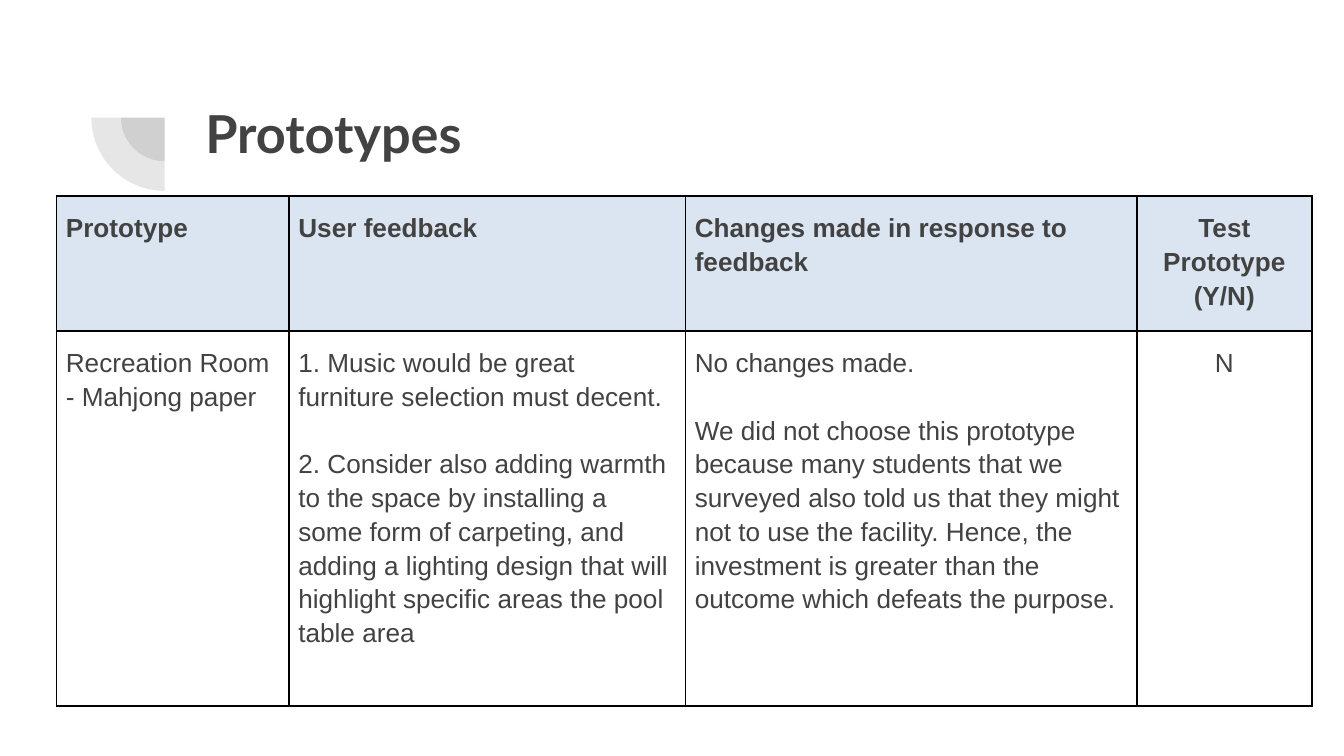
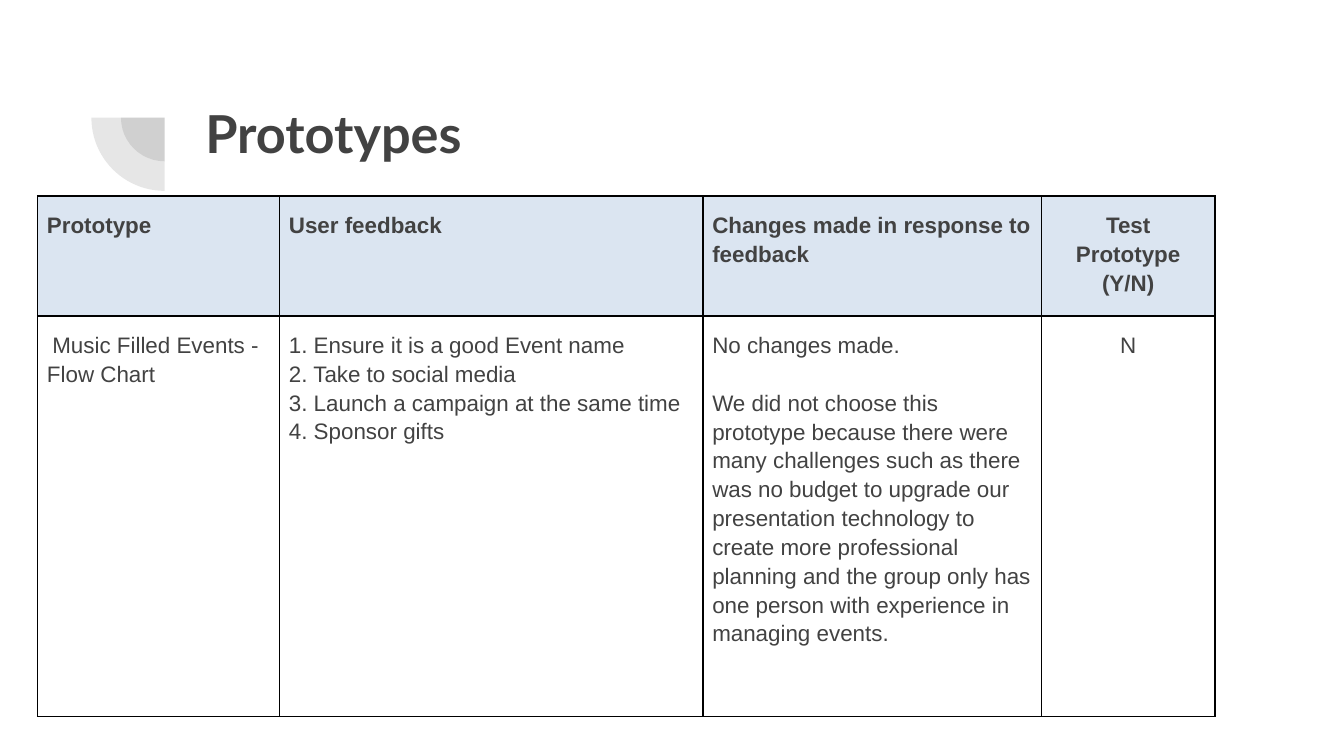
"""Build two prototype feedback slides, each with a title and a table."""
import dataclasses
import typing

import lxml.etree
import pptx
import pptx.dml.color
import pptx.enum.shapes
import pptx.enum.text
import pptx.oxml.ns
import pptx.util

PX = 4572
INK = "424242"
HEADER_FILL = "DBE5F1"
BORDER = "000000"
BODY_FONT = "Arial"
TITLE_FONT = "Lato"
HEADINGS = (
    "Prototype",
    "User feedback",
    "Changes made in response to feedback",
    "Test Prototype (Y/N)",
)
ARC_CENTER = (245, 175)
ARC_RADII = (65, 109)
TABLE_TOP = 292


@dataclasses.dataclass(frozen=True)
class Line:
    text: str
    gap: float = 0
    indent: int = 0


@dataclasses.dataclass(frozen=True)
class Feedback:
    left: int
    columns: tuple[int, ...]
    rows: tuple[int, ...]
    size: int
    answers: tuple[tuple[Line, ...], ...]


SLIDES = (
    Feedback(
        left=84,
        columns=(346, 590, 672, 260),
        rows=(186, 558),
        size=14,
        answers=(
            (Line("Recreation Room - Mahjong paper"),),
            (
                Line("1. Music would be great furniture selection must decent."),
                Line(
                    "2. Consider also adding warmth to the space by installing a some form of "
                    "carpeting, and adding a lighting design that will highlight specific areas "
                    "the pool table area",
                    gap=18,
                ),
            ),
            (
                Line("No changes made."),
                Line(
                    "We did not choose this prototype because many students that we surveyed "
                    "also told us that they might not to use the facility. Hence, the investment "
                    "is greater than the outcome which defeats the purpose.",
                    gap=18,
                ),
            ),
            (Line("N"),),
        ),
    ),
    Feedback(
        left=56,
        columns=(360, 630, 504, 258),
        rows=(166, 596),
        size=12,
        answers=(
            (Line("Music Filled Events - Flow Chart", indent=8),),
            (
                Line("1. Ensure it is a good Event name"),
                Line("2. Take to social media"),
                Line("3. Launch a campaign at the same time"),
                Line("4. Sponsor gifts"),
            ),
            (
                Line("No changes made."),
                Line(
                    "We did not choose this prototype because there were many challenges such as "
                    "there was no budget to upgrade our presentation technology to create more "
                    "professional planning and the group only has one person with experience in "
                    "managing events.",
                    gap=15.5,
                ),
            ),
            (Line("N"),),
        ),
    ),
)


def px(length: int) -> pptx.util.Emu:
    """Turn px into EMU."""
    return pptx.util.Emu(length * PX)


def color(value: str) -> pptx.dml.color.RGBColor:
    """Turn a hex string into a colour."""
    return pptx.dml.color.RGBColor.from_string(value)


def add_element(parent: typing.Any, tag: str, **attributes: str) -> typing.Any:
    """Append a drawing element to a parent."""
    return lxml.etree.SubElement(parent, pptx.oxml.ns.qn(tag), **attributes)


def write(
    para: typing.Any,
    text: str,
    *,
    size: int,
    font: str = BODY_FONT,
    bold: bool = False,
    centered: bool = False,
    spacing: float = 1.0,
    gap: float = 0,
    indent: int = 0,
) -> None:
    """Write formatted text into a paragraph."""
    align = pptx.enum.text.PP_ALIGN
    para.alignment = align.CENTER if centered else align.LEFT
    para.line_spacing = spacing
    if gap:
        para.space_before = pptx.util.Pt(gap)
    if indent:
        para._p.get_or_add_pPr().set("indent", str(px(indent)))
    span = para.add_run()
    span.text = text
    span.font.size = pptx.util.Pt(size)
    span.font.name = font
    span.font.bold = bold
    span.font.color.rgb = color(INK)


def add_arcs(page: typing.Any) -> None:
    """Draw the two overlapping quarter circles beside the title."""
    center_x, center_y = ARC_CENTER
    for radius in ARC_RADII:
        arc = page.shapes.add_shape(
            pptx.enum.shapes.MSO_SHAPE.PIE,
            px(center_x - radius), px(center_y - radius), px(2 * radius), px(2 * radius),
        )
        arc.adjustments[0] = 54
        arc.adjustments[1] = 108
        arc.shadow.inherit = False
        arc.line.fill.background()
        arc.fill.solid()
        arc.fill.fore_color.rgb = color(INK)
        tone = arc._element.spPr.find(".//" + pptx.oxml.ns.qn("a:srgbClr"))
        add_element(tone, "a:alpha", val="13000")


def add_title(page: typing.Any, text: str) -> None:
    """Add the slide title."""
    box = page.shapes.add_textbox(px(286), px(130), px(1538), px(218))
    frame = box.text_frame
    frame.word_wrap = True
    frame.margin_left = frame.margin_right = px(20)
    frame.margin_top = frame.margin_bottom = px(20)
    write(frame.paragraphs[0], text, size=28, font=TITLE_FONT, bold=True)


def add_borders(cell: typing.Any) -> None:
    """Give a cell a thin line on all four sides."""
    properties = cell._tc.get_or_add_tcPr()
    for side in ("a:lnL", "a:lnR", "a:lnT", "a:lnB"):
        edge = add_element(properties, side, w=str(pptx.util.Pt(1)))
        add_element(add_element(edge, "a:solidFill"), "a:srgbClr", val=BORDER)


def fill_cell(
    cell: typing.Any, lines: tuple[Line, ...], *, size: int, header: bool, centered: bool
) -> None:
    """Style a cell and write its lines."""
    add_borders(cell)
    if header:
        cell.fill.solid()
        cell.fill.fore_color.rgb = color(HEADER_FILL)
    else:
        cell.fill.background()
    cell.margin_left = cell.margin_right = px(14)
    cell.margin_top = cell.margin_bottom = px(20)
    frame = cell.text_frame
    for index, line in enumerate(lines):
        para = frame.add_paragraph() if index else frame.paragraphs[0]
        write(
            para, line.text, size=size, bold=header, centered=centered,
            spacing=1.15, gap=line.gap, indent=line.indent,
        )


def add_feedback_table(page: typing.Any, feedback: Feedback) -> None:
    """Add the table of headings and answers."""
    contents = (tuple((Line(heading),) for heading in HEADINGS), feedback.answers)
    table = page.shapes.add_table(
        len(feedback.rows), len(feedback.columns), px(feedback.left), px(TABLE_TOP),
        px(sum(feedback.columns)), px(sum(feedback.rows)),
    ).table
    table.first_row = table.horz_banding = False
    for column, width in zip(table.columns, feedback.columns):
        column.width = px(width)
    for row_index, height in enumerate(feedback.rows):
        table.rows[row_index].height = px(height)
        for column_index, lines in enumerate(contents[row_index]):
            fill_cell(
                table.cell(row_index, column_index), lines, size=feedback.size,
                header=row_index == 0, centered=column_index == len(HEADINGS) - 1,
            )


def main() -> None:
    """Build and save the deck."""
    deck = pptx.Presentation()
    deck.slide_width, deck.slide_height = px(2000), px(1125)
    for feedback in SLIDES:
        page = deck.slides.add_slide(deck.slide_layouts[6])
        add_arcs(page)
        add_title(page, "Prototypes")
        add_feedback_table(page, feedback)
    deck.save("out.pptx")


if __name__ == "__main__":
    main()
